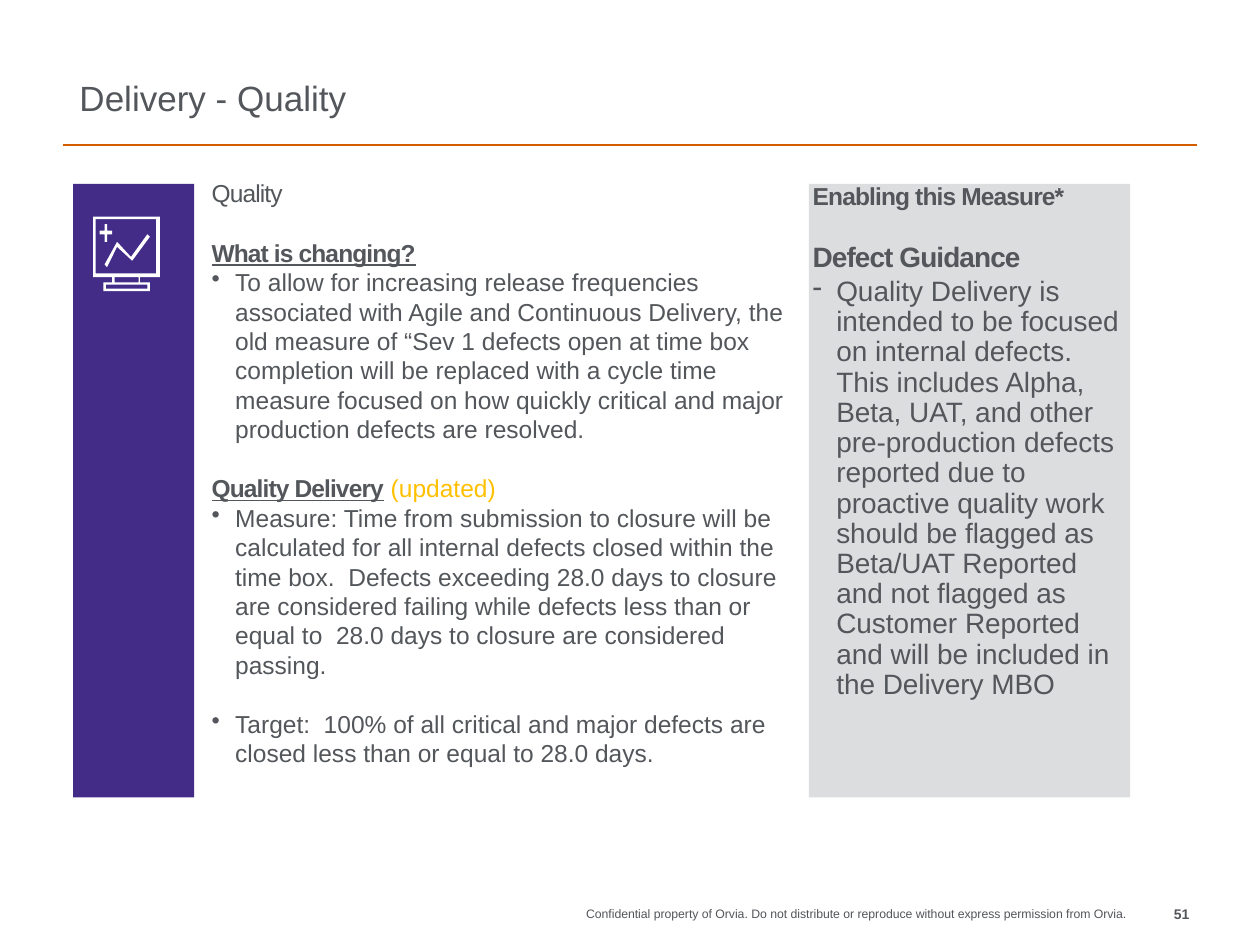
from lxml.etree import SubElement
from pptx import Presentation
from pptx.dml.color import RGBColor
from pptx.enum.shapes import MSO_CONNECTOR as Connector, MSO_SHAPE as Shape
from pptx.enum.text import MSO_ANCHOR as Anchor, PP_ALIGN as Align
from pptx.oxml.ns import qn
from pptx.util import Pt

ORANGE = RGBColor(0xD4, 0x5D, 0x00)
GRAY = RGBColor(0x53, 0x56, 0x5A)
PURPLE = RGBColor(0x42, 0x2C, 0x88)
LIGHT_GRAY = RGBColor(0xDC, 0xDD, 0xDF)
YELLOW = RGBColor(0xFF, 0xC0, 0x00)
WHITE = RGBColor(0xFF, 0xFF, 0xFF)

PANEL_TOP, PANEL_HEIGHT = 105.1, 350.6
HANGING = Pt(13.5)
SECTION_GAP = 17

# Icon outlines, in hundredths of an inch
ICON_UNIT = Pt(0.72)
CHART_LINE = [[(85, 212), (83, 210), (93, 192), (104, 204), (117, 186),
               (119, 188), (105, 207), (93, 196)]]
PLUS_SIGN = [[(85, 192), (83, 192), (83, 186), (79, 186), (79, 183), (83, 183),
              (83, 178), (85, 178), (85, 183), (89, 183), (89, 186), (85, 186)]]
MONITOR = [
    [(119, 231), (82, 231), (82, 224), (89, 224), (89, 220), (74, 220),
     (74, 172), (127, 172), (127, 220), (111, 220), (111, 224), (119, 224)],
    [(117, 226), (84, 226), (84, 229), (117, 229)],
    [(110, 220), (91, 220), (91, 224), (110, 224)],
    [(76, 217), (124, 217), (124, 174), (76, 174)],
]

CHANGE = ("To allow for increasing release frequencies associated with Agile and "
          "Continuous Delivery, the old measure of “Sev 1 defects open at time box "
          "completion will be replaced with a cycle time measure focused on how "
          "quickly critical and major production defects are resolved.")
MEASURE = ("Measure: Time from submission to closure will be calculated for all "
           "internal defects closed within the time box.  Defects exceeding 28.0 "
           "days to closure are considered failing while defects less than or equal "
           "to  28.0 days to closure are considered passing.")
TARGET = ("Target:  100% of all critical and major defects are closed less than or "
          "equal to 28.0 days.")
GUIDANCE = ("Quality Delivery is intended to be focused on internal defects.  This "
            "includes Alpha, Beta, UAT, and other pre-production defects reported due "
            "to proactive quality work should be flagged as Beta/UAT Reported and not "
            "flagged as Customer Reported and will be included in the Delivery MBO")
CONFIDENTIAL = ("Confidential property of Orvia. Do not distribute or reproduce "
                "without express permission from Orvia.")


def paint(shape, color):
    shape.shadow.inherit = False
    shape.fill.solid()
    shape.fill.fore_color.rgb = color
    shape.line.fill.background()


def add_panel(slide, left, width, color):
    panel = slide.shapes.add_shape(Shape.RECTANGLE, Pt(left), Pt(PANEL_TOP),
                                   Pt(width), Pt(PANEL_HEIGHT))
    paint(panel, color)
    return panel


def prepare_frame(shape, insets=(0, 0), anchor=Anchor.TOP, vertical=0):
    frame = shape.text_frame
    frame.word_wrap = True
    frame.vertical_anchor = anchor
    frame.margin_left, frame.margin_right = map(Pt, insets)
    frame.margin_top = frame.margin_bottom = Pt(vertical)
    return frame


def add_text_box(slide, left, top, width, height, **frame_options):
    box = slide.shapes.add_textbox(Pt(left), Pt(top), Pt(width), Pt(height))
    return prepare_frame(box, **frame_options)


def add_paragraph(frame, text, size, bold=None, align=Align.LEFT, line=None,
                  before=None, after=None, bullet=None, tight=False, underline=None):
    """Fill the first paragraph if it is still empty, else append one."""
    first = frame.paragraphs[0]
    paragraph = frame.add_paragraph() if first.runs else first
    paragraph.alignment = align
    if line:
        paragraph.line_spacing = line
    if before:
        paragraph.space_before = Pt(before)
    if after:
        paragraph.space_after = Pt(after)
    if bullet:
        properties = paragraph._p.get_or_add_pPr()
        properties.set("marL", str(HANGING))
        properties.set("indent", str(-HANGING))
        SubElement(properties, qn("a:buChar")).set("char", bullet)
    paragraph.font.name = "Arial"
    paragraph.font.size = Pt(size)
    paragraph.font.color.rgb = GRAY
    paragraph.font.bold = None if underline else bold
    run = paragraph.add_run()
    run.text = text
    if underline:
        run.font.bold = bold
        run.font.underline = True
    if tight:
        run._r.get_or_add_rPr().set("spc", "-50")
    return paragraph


def add_rule(slide, left, right, y):
    rule = slide.shapes.add_connector(Connector.STRAIGHT, Pt(left), Pt(y),
                                      Pt(right), Pt(y))
    rule.line.color.rgb = ORANGE
    rule.line.width = Pt(1)
    SubElement(rule._element.spPr, qn("a:effectLst"))


def add_outline(group, contours):
    builder = group.shapes.build_freeform(*contours[0][0], scale=ICON_UNIT)
    builder.add_line_segments(contours[0][1:], close=True)
    for start, *points in contours[1:]:
        builder.move_to(*start)
        builder.add_line_segments(points, close=True)
    paint(builder.convert_to_shape(), WHITE)


def add_monitor_icon(slide):
    group = slide.shapes.add_group_shape()
    for contours in (CHART_LINE, PLUS_SIGN, MONITOR):
        add_outline(group, contours)


def add_enabling_panel(slide):
    frame = prepare_frame(add_panel(slide, 462.2, 183.6, LIGHT_GRAY), (2.2, 2.2))
    spacing = dict(line=0.9, after=2)
    add_paragraph(frame, "Enabling this Measure*", 14, bold=True, tight=True, **spacing)
    add_paragraph(frame, "Defect Guidance", 16, bold=True, tight=True,
                  before=SECTION_GAP, **spacing)
    add_paragraph(frame, GUIDANCE, 16, bullet="-", **spacing)


def add_quality_text(slide):
    frame = add_text_box(slide, 110.9, 103.7, 351.4, 352, insets=(10, 7.2))
    heading = dict(bold=True, underline=True, tight=True, before=SECTION_GAP)
    add_paragraph(frame, "Quality", 14, line=0.9, tight=True)
    add_paragraph(frame, "What is changing?", 14, **heading)
    add_paragraph(frame, CHANGE, 14, bullet="•")
    delivery = add_paragraph(frame, "Quality Delivery", 14, **heading)
    updated = delivery.add_run()
    updated.text = " (updated)"
    updated.font.color.rgb = YELLOW
    add_paragraph(frame, MEASURE, 14, bullet="•")
    add_paragraph(frame, TARGET, 14, bullet="•", before=SECTION_GAP)


def add_footer(slide):
    notice = add_text_box(slide, 260.6, 517.7, 383, 16.6)
    add_paragraph(notice, CONFIDENTIAL, 7, align=Align.RIGHT)
    number = add_text_box(slide, 643.7, 517.7, 36, 16.6)
    add_paragraph(number, "51", 8, bold=True, align=Align.RIGHT)


def main():
    presentation = Presentation()
    presentation.slide_width, presentation.slide_height = Pt(720), Pt(540)
    slide = presentation.slides.add_slide(presentation.slide_layouts[6])
    add_rule(slide, 36, 684, 82.8)
    add_footer(slide)
    title = add_text_box(slide, 36, 23.8, 661, 49, insets=(9.4, 9.4),
                         anchor=Anchor.BOTTOM, vertical=5)
    add_paragraph(title, "Delivery - Quality", 20, line=0.9)
    add_panel(slide, 41.8, 69.1, PURPLE)
    add_monitor_icon(slide)
    add_enabling_panel(slide)
    add_quality_text(slide)
    presentation.save("out.pptx")


if __name__ == "__main__":
    main()
